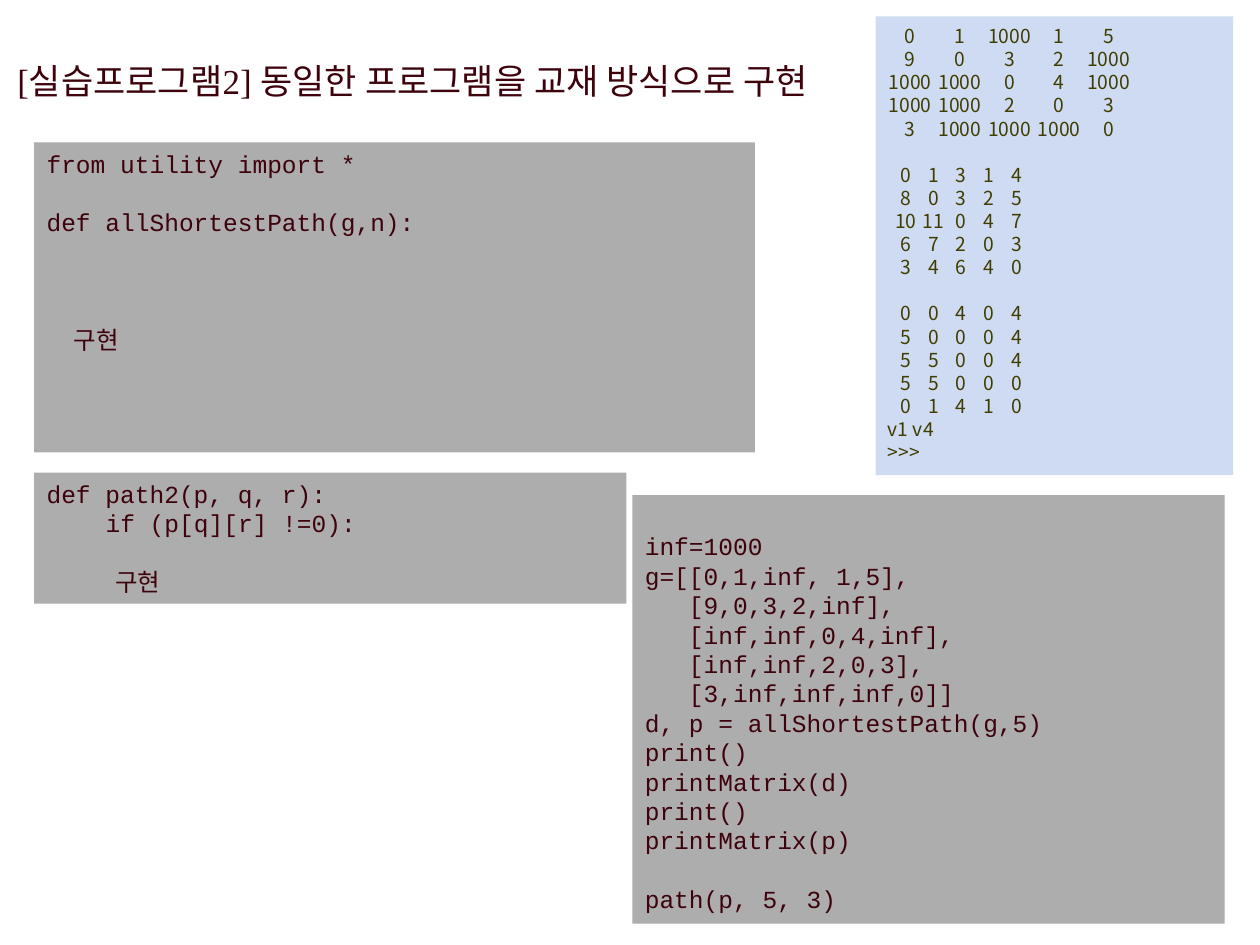
"""Builds a practice slide on shortest paths with code panels and program output."""
from dataclasses import dataclass

from pptx import Presentation
from pptx.dml.color import RGBColor
from pptx.enum.shapes import MSO_SHAPE
from pptx.enum.text import MSO_ANCHOR, PP_ALIGN
from pptx.oxml.ns import qn
from pptx.util import Cm, Pt
from lxml.etree import SubElement


@dataclass(frozen=True)
class Theme:
    """Colours, fonts and type sizes of the slide."""
    ink: RGBColor = RGBColor(0x3E, 0x02, 0x0C)
    olive: RGBColor = RGBColor(0x3F, 0x3E, 0x00)
    gray: RGBColor = RGBColor(0xAD, 0xAD, 0xAD)
    blue: RGBColor = RGBColor(0xCF, 0xDB, 0xF3)
    serif: str = "Times New Roman"
    mono: str = "Courier New"
    sans: str = "Noto Sans CJK KR"
    head: float = 20
    code: float = 14
    small: float = 11
    lead: float = 1.2


class Board:
    """Holds the theme and the slide, and draws each kind of element."""

    def __init__(self, slide, theme):
        """Keep the slide and its style."""
        self.slide, self.theme = slide, theme

    def panel(self, box, fill, anchor):
        """Draw a plain filled panel and return its text frame."""
        shape = self.slide.shapes.add_shape(MSO_SHAPE.RECTANGLE, *map(Cm, box))
        shape.shadow.inherit = False
        shape.fill.solid()
        shape.fill.fore_color.rgb = fill
        shape.line.fill.background()
        frame = shape.text_frame
        frame.word_wrap = True
        frame.vertical_anchor = anchor
        frame.margin_bottom = Cm(0.2)
        return frame

    def line(self, frame, text, font, size, color, lead, gap=0):
        """Write one paragraph, preceded by a gap counted in lines."""
        first = frame.paragraphs[0]
        para = frame.add_paragraph() if first.runs else first
        para.text = text
        para.alignment = PP_ALIGN.LEFT
        para.line_spacing = Pt(lead)
        para.space_before = Pt(gap * lead)
        para.font.name, para.font.size = font, Pt(size)
        para.font.color.rgb = color
        return para

    def title(self, box, text):
        """Write the slide heading."""
        look = self.theme
        frame = self.slide.shapes.add_textbox(*map(Cm, box)).text_frame
        frame.word_wrap = True
        self.line(frame, text, look.serif, look.head, look.ink, 28)

    def code(self, box, rows, anchor=MSO_ANCHOR.TOP):
        """Fill a gray panel with rows of text, indent in cm and gap in lines."""
        look = self.theme
        frame = self.panel(box, look.gray, anchor)
        for text, indent, gap in rows:
            para = self.line(frame, text, look.mono, look.code, look.ink,
                             look.code * look.lead, gap)
            para._p.get_or_add_pPr().set("marL", str(Cm(indent)))

    def output(self, box, blocks, tail):
        """Fill a blue panel with number grids and the closing lines."""
        look = self.theme
        frame = self.panel(box, look.blue, MSO_ANCHOR.MIDDLE)
        style = (look.sans, look.small, look.olive, look.small * look.lead)
        for index, (start, step, grid) in enumerate(blocks):
            for row, cells in enumerate(grid):
                text = "".join(f"\t{cell}" for cell in cells)
                gap = 1 if index and not row else 0
                para = self.line(frame, text, *style, gap)
                self.tabs(para, [start + step * col for col in range(len(cells))])
        for text in tail:
            self.line(frame, text, *style)

    def tabs(self, para, stops):
        """Set centred tab stops on a paragraph."""
        props = para._p.get_or_add_pPr()
        tabs = SubElement(props, qn("a:tabLst"))
        props.insert_element_before(tabs, "a:defRPr", "a:extLst")
        for stop in stops:
            SubElement(tabs, qn("a:tab"), pos=str(Cm(stop)), algn="ctr")


def main():
    """Build the slide and save it."""
    deck = Presentation()
    deck.slide_width, deck.slide_height = Cm(25.4), Cm(19.05)
    board = Board(deck.slides.add_slide(deck.slide_layouts[6]), Theme())
    board.code((0.69, 2.87, 14.53, 6.25), [
        ("from utility import *", 0, 0),
        ("def allShortestPath(g,n):", 0, 1),
        ("구현", 0.55, 3),
    ])
    board.code((0.69, 9.53, 11.94, 2.64), [
        ("def path2(p, q, r):", 0, 0),
        ("if (p[q][r] !=0):", 1.19, 0),
        ("구현", 1.38, 1),
    ])
    board.code((12.75, 9.98, 11.94, 8.64), [
        ("inf=1000", 0, 0),
        ("g=[[0,1,inf, 1,5],", 0, 0),
        ("[9,0,3,2,inf],", 0.89, 0),
        ("[inf,inf,0,4,inf],", 0.89, 0),
        ("[inf,inf,2,0,3],", 0.89, 0),
        ("[3,inf,inf,inf,0]]", 0.89, 0),
        ("d, p = allShortestPath(g,5)", 0, 0),
        ("print()", 0, 0),
        ("printMatrix(d)", 0, 0),
        ("print()", 0, 0),
        ("printMatrix(p)", 0, 0),
        ("path(p, 5, 3)", 0, 1),
    ], MSO_ANCHOR.BOTTOM)
    board.title((0.1, 0.94, 17.91, 1.17),
                "[실습프로그램2] 동일한 프로그램을 교재 방식으로 구현")
    costs = [(0, 1, 1000, 1, 5), (9, 0, 3, 2, 1000), (1000, 1000, 0, 4, 1000),
             (1000, 1000, 2, 0, 3), (3, 1000, 1000, 1000, 0)]
    dists = [(0, 1, 3, 1, 4), (8, 0, 3, 2, 5), (10, 11, 0, 4, 7),
             (6, 7, 2, 0, 3), (3, 4, 6, 4, 0)]
    paths = [(0, 0, 4, 0, 4), (5, 0, 0, 0, 4), (5, 5, 0, 0, 4),
             (5, 5, 0, 0, 0), (0, 1, 4, 1, 0)]
    board.output((17.65, 0.33, 7.21, 9.25),
                 [(0.45, 1, costs), (0.36, 0.56, dists), (0.36, 0.56, paths)],
                 ["v1 v4", ">>>"])
    deck.save("out.pptx")


if __name__ == "__main__":
    main()
